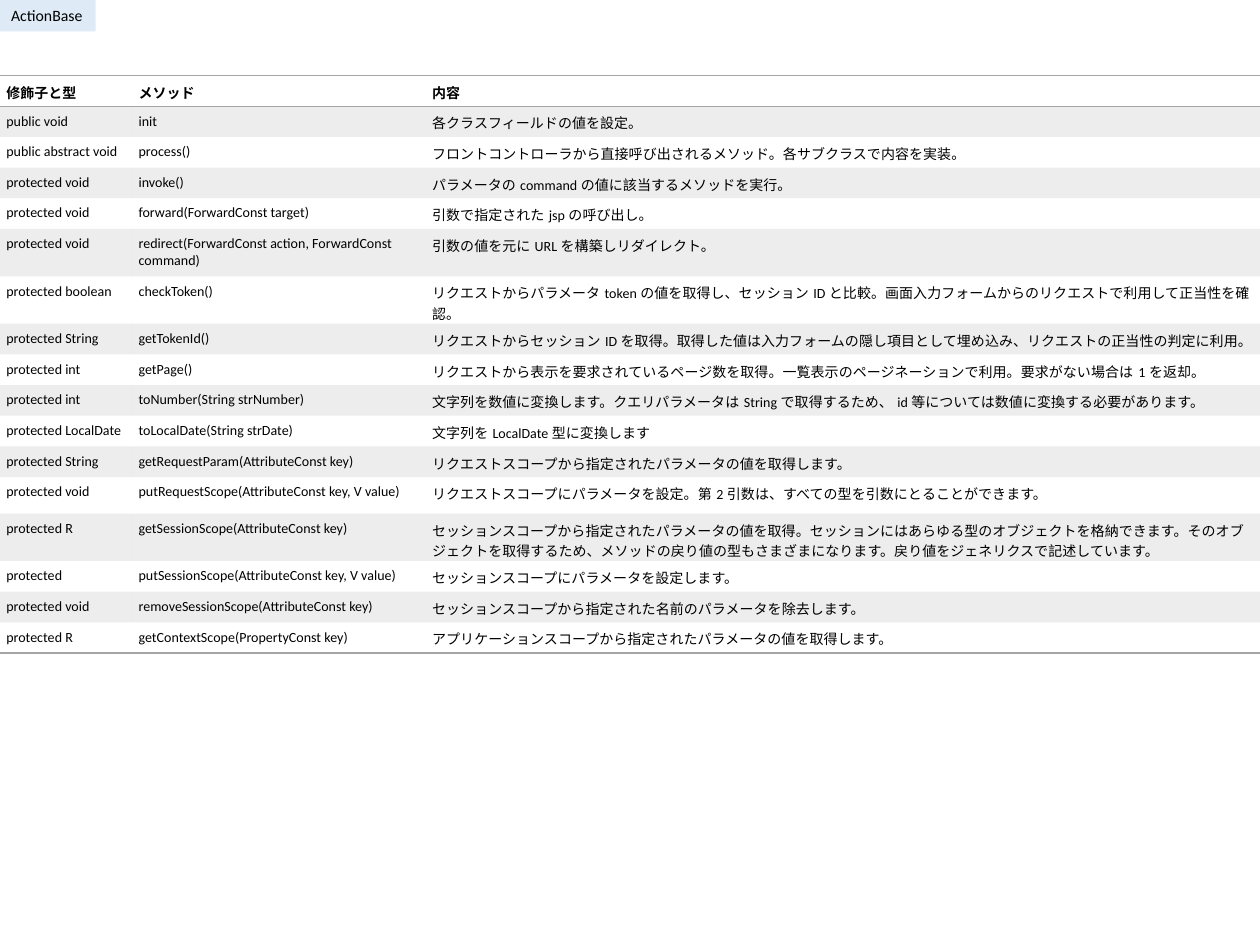
from lxml import etree
from pptx import Presentation
from pptx.dml.color import RGBColor
from pptx.enum import shapes, text
from pptx.oxml import ns
from pptx.util import Inches, Pt

FONT, INK, GREY, LABEL_BLUE = "Calibri", "000000", "A5A5A5", "DEEBF7"
NO_STYLE = "{2D5ABB26-0587-4C30-8999-92F81FD0307C}"
HEADINGS = ("修飾子と型", "メソッド", "内容")
METHODS = [
    ("public void", "init", "各クラスフィールドの値を設定。"),
    ("public abstract void", "process()",
     "フロントコントローラから直接呼び出されるメソッド。各サブクラスで内容を実装。"),
    ("protected void", "invoke()", "パラメータのcommandの値に該当するメソッドを実行。"),
    ("protected void", "forward(ForwardConst target)", "引数で指定されたjspの呼び出し。"),
    ("protected void", "redirect(ForwardConst action, ForwardConst command)",
     "引数の値を元にURLを構築しリダイレクト。"),
    ("protected boolean", "checkToken()",
     "リクエストからパラメータtokenの値を取得し、セッションIDと比較。"
     "画面入力フォームからのリクエストで利用して正当性を確認。"),
    ("protected String", "getTokenId()",
     "リクエストからセッションIDを取得。取得した値は入力フォームの隠し項目として埋め込み、"
     "リクエストの正当性の判定に利用。"),
    ("protected int", "getPage()",
     "リクエストから表示を要求されているページ数を取得。"
     "一覧表示のページネーションで利用。要求がない場合は1を返却。"),
    ("protected int", "toNumber(String strNumber)",
     "文字列を数値に変換します。クエリパラメータはStringで取得するため、"
     "id等については数値に変換する必要があります。"),
    ("protected LocalDate", "toLocalDate(String strDate)", "文字列をLocalDate型に変換します"),
    ("protected String", "getRequestParam(AttributeConst key)",
     "リクエストスコープから指定されたパラメータの値を取得します。"),
    ("protected void", "putRequestScope(AttributeConst key, V value)",
     "リクエストスコープにパラメータを設定。第2引数は、すべての型を引数にとることができます。"),
    ("protected R", "getSessionScope(AttributeConst key)",
     "セッションスコープから指定されたパラメータの値を取得。"
     "セッションにはあらゆる型のオブジェクトを格納できます。"
     "そのオブジェクトを取得するため、メソッドの戻り値の型もさまざまになります。"
     "戻り値をジェネリクスで記述しています。"),
    ("protected", "putSessionScope(AttributeConst key, V value)",
     "セッションスコープにパラメータを設定します。"),
    ("protected void", "removeSessionScope(AttributeConst key)",
     "セッションスコープから指定された名前のパラメータを除去します。"),
    ("protected R", "getContextScope(PropertyConst key)",
     "アプリケーションスコープから指定されたパラメータの値を取得します。"),
]
COLUMN_WIDTHS = (1.05, 2.33, 6.63)
ROW_HEIGHT = 0.22
TALL_ROWS = {5: 0.34, 6: 0.28, 12: 0.29, 13: 0.34}


def color(hex_string):
    return RGBColor.from_string(hex_string)


def add_run(paragraph, words, size, bold=False):
    run = paragraph.add_run()
    run.text = words
    run.font.name = FONT
    run.font.size = Pt(size)
    run.font.bold = bold
    run.font.color.rgb = color(INK)


deck = Presentation()
deck.slide_width, deck.slide_height = Inches(10), Inches(7.5)
slide = deck.slides.add_slide(deck.slide_layouts[6])

# Class name label
class_label = slide.shapes.add_shape(
    shapes.MSO_SHAPE.RECTANGLE, Inches(-0.01), 0, Inches(0.77), Inches(0.25))
class_label.shadow.inherit = False
class_label.fill.solid()
class_label.fill.fore_color.rgb = color(LABEL_BLUE)
class_label.line.fill.background()
class_label.text_frame.word_wrap = False
class_label.text_frame.auto_size = text.MSO_AUTO_SIZE.SHAPE_TO_FIT_TEXT
class_label.text_frame.vertical_anchor = text.MSO_ANCHOR.TOP
class_name = class_label.text_frame.paragraphs[0]
class_name.alignment = text.PP_ALIGN.LEFT
add_run(class_name, "ActionBase", 9)

# Method table
rows = [HEADINGS] + METHODS
method_frame = slide.shapes.add_table(
    len(rows), len(HEADINGS), Inches(-0.01), Inches(0.6), Inches(10.01), Inches(4.6))
methods = method_frame.table
methods.first_row = methods.horz_banding = False
methods._tbl.tblPr.find(ns.qn("a:tableStyleId")).text = NO_STYLE
for column, width in zip(methods.columns, COLUMN_WIDTHS):
    column.width = Inches(width)

for row_no, entries in enumerate(rows):
    methods.rows[row_no].height = Inches(TALL_ROWS.get(row_no, ROW_HEIGHT))
    is_heading = row_no == 0
    ruled_sides = ("lnT", "lnB") if is_heading else ("lnB",) if row_no == len(rows) - 1 else ()
    for column_no, words in enumerate(entries):
        cell = methods.cell(row_no, column_no)
        cell.margin_left = cell.margin_right = cell.margin_bottom = Inches(0.06)
        cell.margin_top = Inches(0.05)
        cell.vertical_anchor = text.MSO_ANCHOR.BOTTOM if is_heading else text.MSO_ANCHOR.TOP
        add_run(cell.text_frame.paragraphs[0], words, 8, is_heading)

        properties = cell._tc.get_or_add_tcPr()
        if row_no % 2:
            cell.fill.solid()
            cell.fill.fore_color.rgb = color(GREY)
            band = properties.find(".//" + ns.qn("a:srgbClr"))
            etree.SubElement(band, ns.qn("a:alpha"), val="20000")
        else:
            cell.fill.background()
        for position, side in enumerate(ruled_sides):
            rule = etree.Element(ns.qn("a:" + side), w=str(Pt(1)))
            rule_fill = etree.SubElement(rule, ns.qn("a:solidFill"))
            etree.SubElement(rule_fill, ns.qn("a:srgbClr"), val=GREY)
            properties.insert(position, rule)

# Changing row heights resizes the frame, so its height is fixed last
method_frame.height = Inches(4.6)

deck.save("out.pptx")
